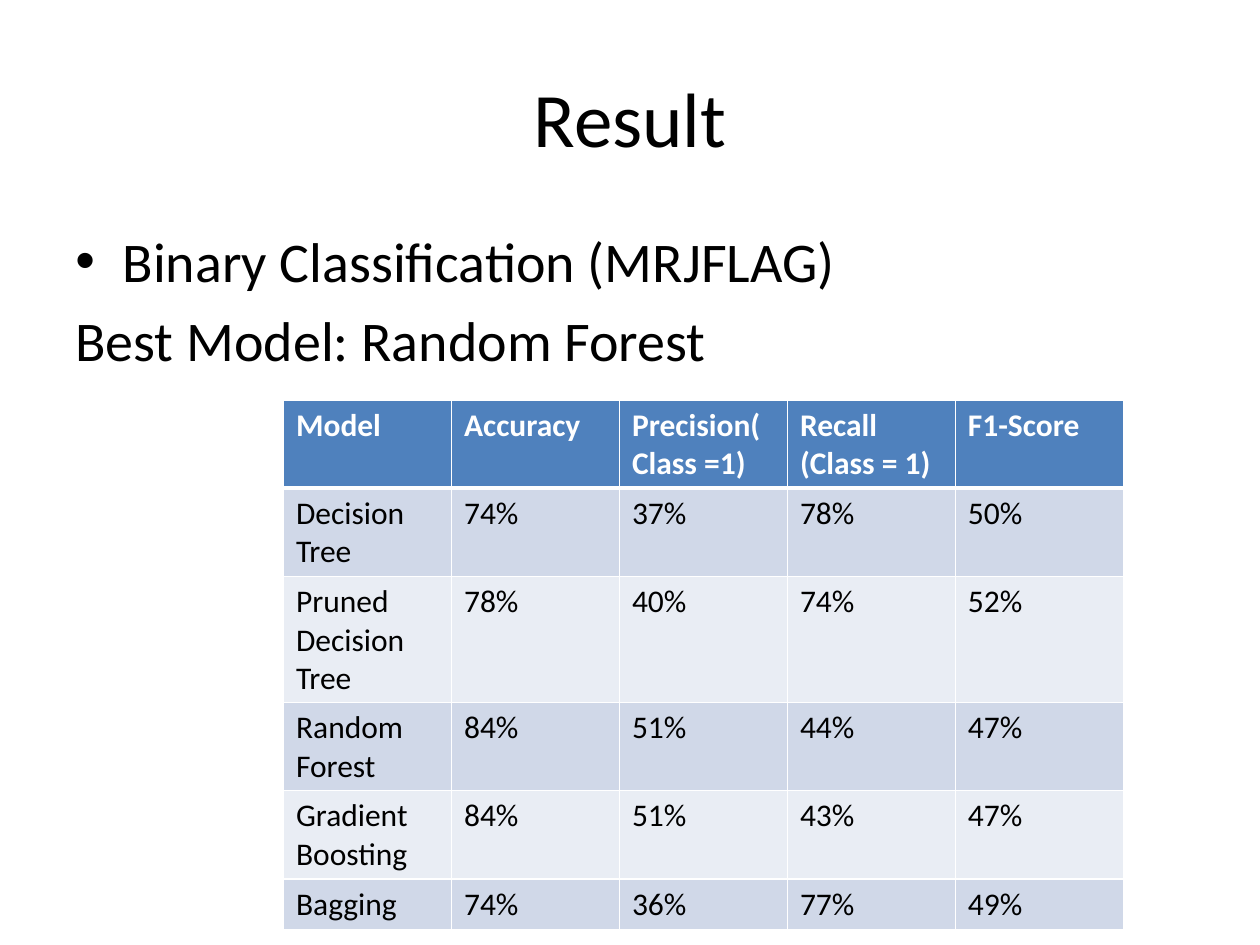
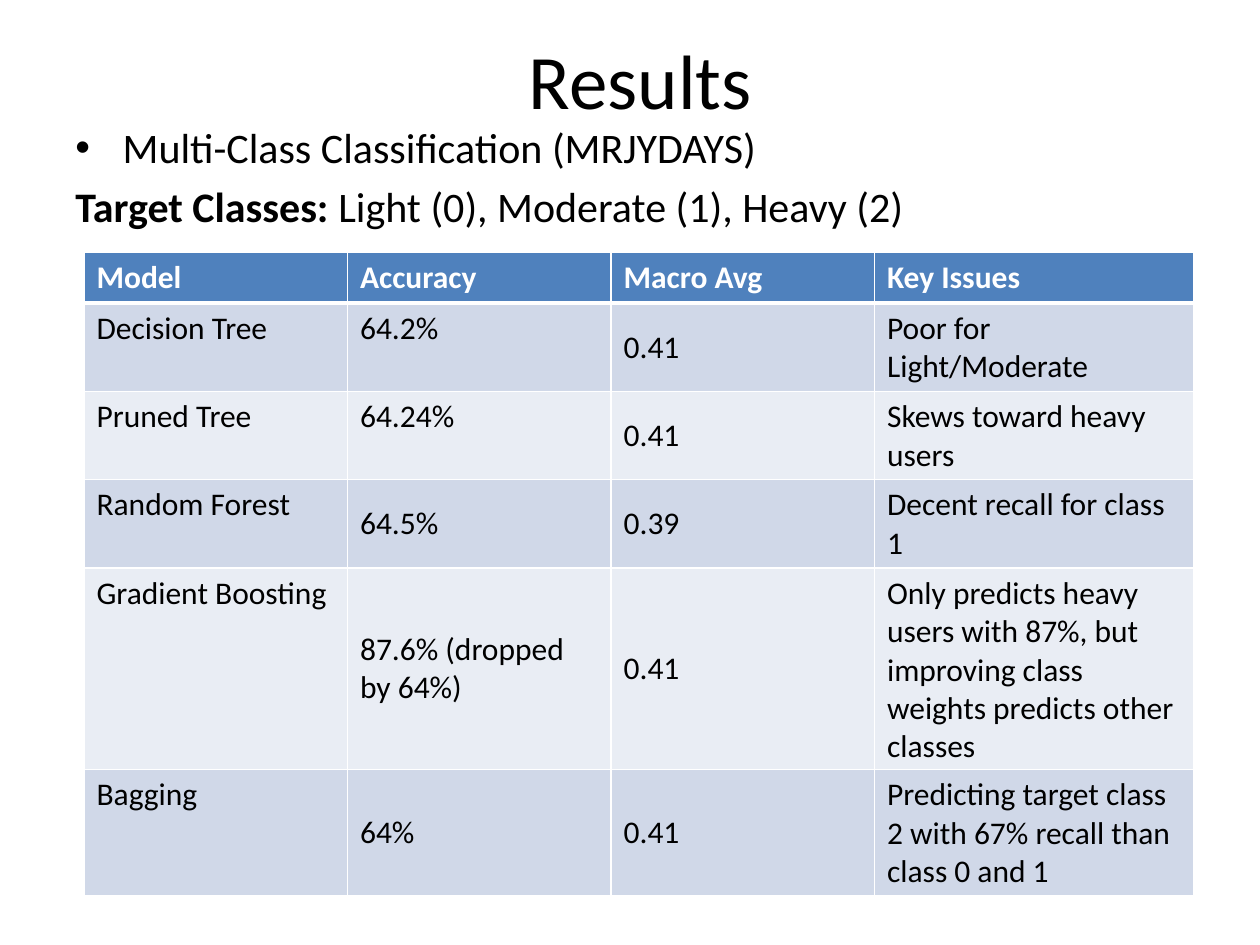
from dataclasses import dataclass

from lxml import etree
from pptx import Presentation
from pptx.dml.color import RGBColor
from pptx.enum import text
from pptx.oxml import ns
from pptx.util import Pt


@dataclass(frozen=True)
class Theme:
    font: str = "Calibri"
    ink: str = "000000"
    paper: str = "FFFFFF"
    header: str = "4F81BD"
    bands: tuple = ("D0D8E8", "E9EDF4")
    title_size: int = 44
    cell_size: int = 18
    row_height: float = 29.2
    grid_line: int = 1
    header_line: int = 3
    bullet_indent: int = 27


THEME = Theme()
TITLE_ONLY = 5

BINARY_ROWS = [
    ("Model", "Accuracy", "Precision(Class =1)", "Recall (Class = 1)", "F1-Score"),
    ("Decision Tree", "74%", "37%", "78%", "50%"),
    ("Pruned Decision Tree", "78%", "40%", "74%", "52%"),
    ("Random Forest", "84%", "51%", "44%", "47%"),
    ("Gradient Boosting", "84%", "51%", "43%", "47%"),
    ("Bagging", "74%", "36%", "77%", "49%"),
]
MULTI_CLASS_ROWS = [
    ("Model", "Accuracy", "Macro Avg", "Key Issues"),
    ("Decision Tree", "64.2%", "0.41", "Poor for Light/Moderate"),
    ("Pruned Tree", "64.24%", "0.41", "Skews toward heavy users"),
    ("Random Forest", "64.5%", "0.39", "Decent recall for class 1"),
    ("Gradient Boosting", "87.6% (dropped by 64%)", "0.41",
     "Only predicts heavy users with 87%, but improving class weights "
     "predicts other classes"),
    ("Bagging", "64%", "0.41",
     "Predicting target class 2 with 67% recall than class 0 and 1"),
]


def style_font(font, size, color=THEME.ink, bold=False):
    font.name = THEME.font
    font.size = Pt(size)
    font.color.rgb = RGBColor.from_string(color)
    font.bold = bold


def place_title(slide, wording, box):
    title = slide.shapes.title
    title.left, title.top, title.width, title.height = map(Pt, box)
    title.text_frame.text = wording
    title.text_frame.vertical_anchor = text.MSO_ANCHOR.MIDDLE
    heading = title.text_frame.paragraphs[0]
    heading.alignment = text.PP_ALIGN.CENTER
    style_font(heading.font, THEME.title_size)


def add_bullet(paragraph):
    properties = paragraph._p.get_or_add_pPr()
    properties.set("marL", str(Pt(THEME.bullet_indent)))
    properties.set("indent", str(-Pt(THEME.bullet_indent)))
    etree.SubElement(properties, ns.qn("a:buFont"), typeface="Arial")
    etree.SubElement(properties, ns.qn("a:buChar"), char="•")


def add_summary(slide, topic, label, detail, box, size):
    """Place a bulleted topic above a plain line; the label is bold if set."""
    frame = slide.shapes.add_textbox(*map(Pt, box)).text_frame
    frame.word_wrap = True
    topic_line, detail_line = frame.paragraphs[0], frame.add_paragraph()
    topic_line.text = topic
    if label:
        label_run = detail_line.add_run()
        label_run.text = label
        label_run.font.bold = True
    detail_line.add_run().text = detail
    for line in (topic_line, detail_line):
        style_font(line.font, size)
        line.space_before = Pt(0.2 * size)
    add_bullet(topic_line)


def draw_borders(cell, row):
    widths = dict.fromkeys(("lnL", "lnR", "lnT", "lnB"), THEME.grid_line)
    if row == 0:
        widths["lnB"] = THEME.header_line
    elif row == 1:
        widths["lnT"] = THEME.header_line
    properties = cell._tc.get_or_add_tcPr()
    for side, width in widths.items():
        line = etree.SubElement(properties, ns.qn(f"a:{side}"), w=str(Pt(width)))
        fill = etree.SubElement(line, ns.qn("a:solidFill"))
        etree.SubElement(fill, ns.qn("a:srgbClr"), val=THEME.paper)


def style_cell(cell, row, wording, centred):
    is_header = row == 0
    draw_borders(cell, row)
    cell.fill.solid()
    cell.fill.fore_color.rgb = RGBColor.from_string(
        THEME.header if is_header else THEME.bands[(row - 1) % 2])
    cell.text = wording
    if centred:
        cell.vertical_anchor = text.MSO_ANCHOR.MIDDLE
    style_font(cell.text_frame.paragraphs[0].font, THEME.cell_size,
               THEME.paper if is_header else THEME.ink, is_header)


def add_scores(slide, rows, left, top, widths, is_centred=lambda row, column: False):
    """Add a banded table of model scores with a header row."""
    table = slide.shapes.add_table(
        len(rows), len(widths), Pt(left), Pt(top),
        Pt(sum(widths)), Pt(THEME.row_height * len(rows))).table
    for column, width in zip(table.columns, widths):
        column.width = Pt(width)
    for row, values in enumerate(rows):
        table.rows[row].height = Pt(THEME.row_height)
        for column, wording in enumerate(values):
            style_cell(table.cell(row, column), row, wording,
                       is_centred(row, column))


def build_binary_slide(slide):
    place_title(slide, "Result", (36, 21.6, 648, 90))
    add_summary(slide, "Binary Classification (MRJFLAG)", "",
                "Best Model: Random Forest", (36, 126, 648, 356.4), 32)
    add_scores(slide, BINARY_ROWS, 162, 228.5, [96] * 5)


def build_multi_class_slide(slide):
    place_title(slide, "Results", (42, 0, 648, 90))
    add_summary(slide, "Multi-Class Classification (MRJYDAYS)", "Target Classes:",
                " Light (0), Moderate (1), Heavy (2)", (36, 66, 648, 356.4), 24)
    add_scores(slide, MULTI_CLASS_ROWS, 48, 144, [150.6] * 3 + [182.4],
               lambda row, column: row > 0 and (column > 1 or column == 1 and row > 2))


def main():
    deck = Presentation()
    deck.slide_width, deck.slide_height = Pt(720), Pt(540)
    for build in (build_binary_slide, build_multi_class_slide):
        build(deck.slides.add_slide(deck.slide_layouts[TITLE_ONLY]))
    deck.save("out.pptx")


if __name__ == "__main__":
    main()
